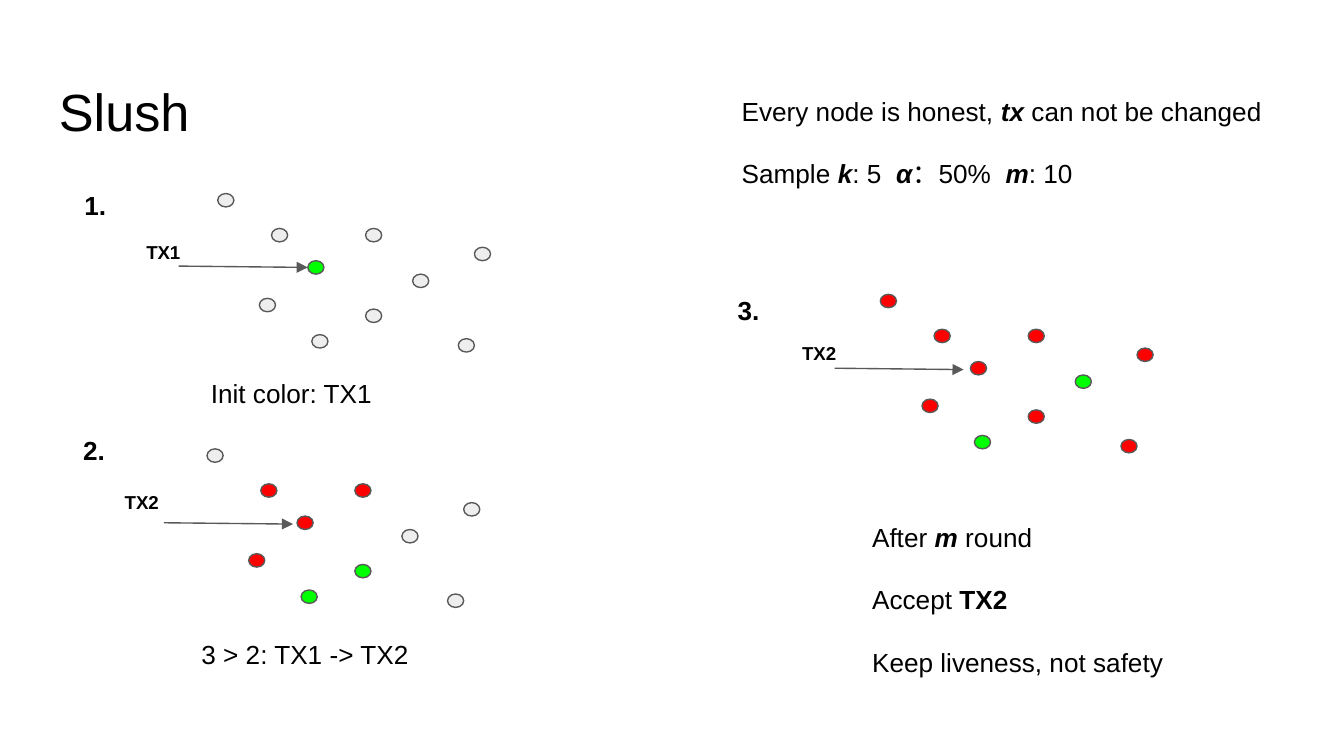
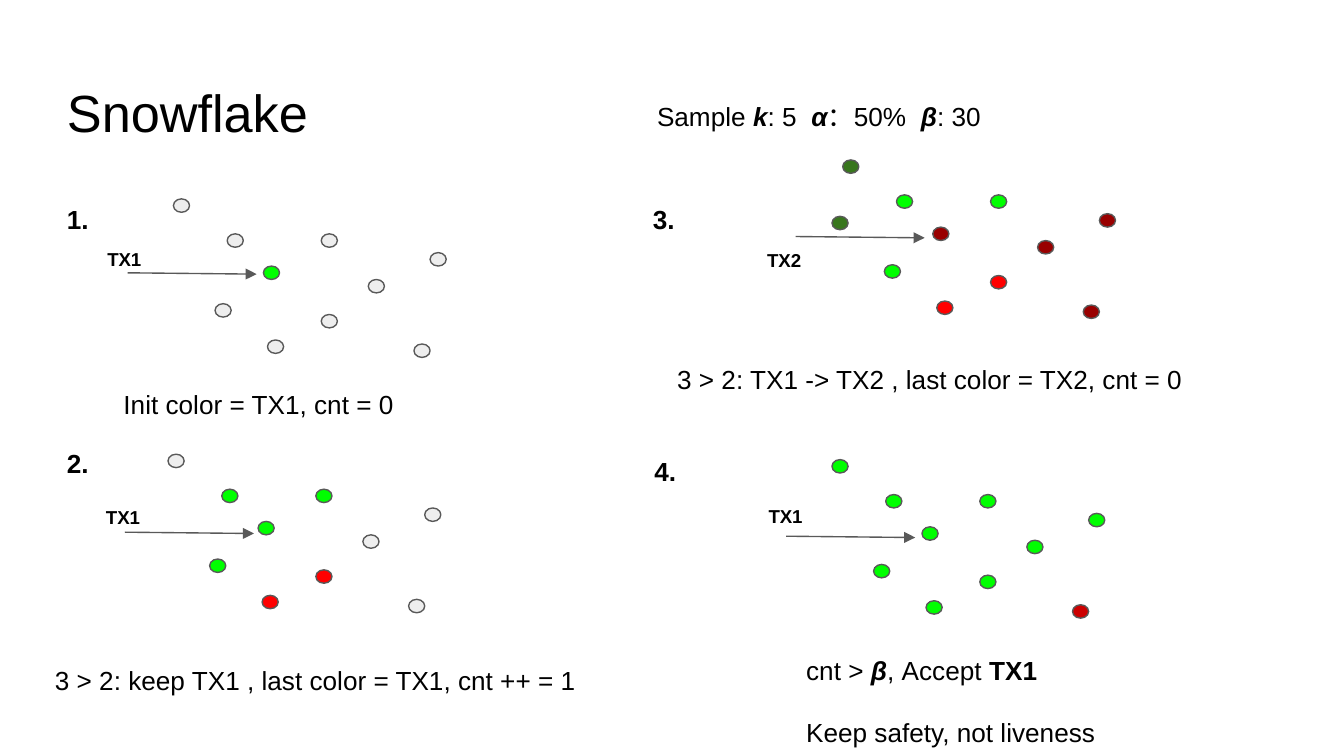
import pptx
import pptx.util
import pptx.dml.color
import pptx.enum.shapes
import pptx.oxml.ns
from dataclasses import dataclass, field
from lxml import etree

Inches = pptx.util.Inches
Pt = pptx.util.Pt


@dataclass(frozen=True)
class Theme:
    font: str = "Arial"
    ink: str = "000000"
    edge: str = "595959"
    title: int = 28
    body: int = 14
    tag: int = 10
    gap: float = 16.6
    wide: str = "390"
    line: float = 0.75
    fills: dict = field(default_factory=lambda: {
        "n": "EEEEEE", "g": "00FF00", "r": "FF0000",
        "d": "990000", "f": "38761D", "c": "CC0000"})


THEME = Theme()
NODE = (0.12, 0.1)
SPOTS = [(0.67, 0.5), (0.4, 0.26), (0.31, 0.78), (1.1, 0.26), (1.1, 0.86),
         (1.91, 0.4), (1.79, 1.08), (1.45, 0.6), (0.7, 1.05), (0, 0),
         (-0.08, 0.42)]
ARROW = (0.96, 0.01)


def color(code):
    return pptx.dml.color.RGBColor.from_string(code)


def shift(box, step):
    return box[0] + step[0], box[1] + step[1]


def write(slide, box, lines, size=THEME.body):
    frame = slide.shapes.add_textbox(*map(Inches, box)).text_frame
    frame.word_wrap = True
    frame.margin_left = frame.margin_right = Inches(0.1)
    frame.margin_top = frame.margin_bottom = Inches(0.1)
    for i, spans in enumerate(lines):
        para = frame.add_paragraph() if i else frame.paragraphs[0]
        if i:
            para.space_before = Pt(THEME.gap)
        for text, style in spans:
            run = para.add_run()
            run.text = text
            run.font.name = THEME.font
            run.font.size = Pt(size)
            run.font.color.rgb = color(THEME.ink)
            run.font.bold = "b" in style
            run.font.italic = "i" in style
            if "w" in style:
                run.font._element.set("spc", THEME.wide)


def head(slide, box, text):
    write(slide, (*box, 9.32, 0.63), [[(text, "")]], THEME.title)


def node(slide, spot, fill):
    oval = slide.shapes.add_shape(pptx.enum.shapes.MSO_SHAPE.OVAL,
                                  *map(Inches, (*spot, *NODE)))
    oval.shadow.inherit = False
    oval.fill.solid()
    oval.fill.fore_color.rgb = color(fill)
    oval.line.color.rgb = color(THEME.edge)
    oval.line.width = Pt(THEME.line)


def arrow(slide, start):
    link = slide.shapes.add_connector(
        pptx.enum.shapes.MSO_CONNECTOR.STRAIGHT,
        *map(Inches, (*start, *shift(start, ARROW))))
    link.line.color.rgb = color(THEME.edge)
    link.line.width = Pt(THEME.line)
    qn = pptx.oxml.ns.qn
    etree.SubElement(link.line._get_or_add_ln(), qn("a:tailEnd"), type="triangle")
    etree.SubElement(link._element.spPr, qn("a:effectLst"))


def stage(slide, box, fills, num, tag, start, note):
    for spot, key in zip(SPOTS, fills):
        node(slide, shift(box, spot), THEME.fills[key])
    arrow(slide, shift(box, start))
    text, step = num
    write(slide, (*shift(box, step), 0.47, 0.36), [[(text, "b")]])
    text, step = tag
    write(slide, (*shift(box, step), 0.67, 0.28), [[(text, "b")]], THEME.tag)
    lines, step, size = note
    write(slide, (*shift(box, step), *size), lines)


def sample(name, count):
    return [("Sample ", ""), ("k", "bi"), (": 5", ""), (" ", "w"),
            ("α", "bi"), ("：50%", ""), (" ", "w"), (name, "bi"),
            (": " + count, "")]


def slush(slide):
    head(slide, (0.34, 0.49), "Slush")
    write(slide, (5.42, 0.61, 4.23, 0.52), [
        [("Every node is honest, ", ""), ("tx", "bi"),
         (" can not be changed", "")],
        sample("m", "10")])
    stage(slide, (1.62, 1.44), "gnnnnnnnnn", ("1.", (-1.09, -0.13)),
          ("TX1", (-0.63, 0.27)), (-0.29, 0.54),
          ([[("Init color: TX1", "")]], (-0.15, 1.27), (1.88, 0.52)))
    stage(slide, (1.54, 3.34), "rrrrgnnngn", ("2.", (-1.02, -0.21)),
          ("TX2", (-0.71, 0.23)), (-0.32, 0.55),
          ([[("3 > 2: TX1 -> TX2", "")]], (-0.14, 1.31), (1.88, 0.52)))
    done = [[("After ", ""), ("m", "bi"), (" round", "")],
            [("Accept ", ""), ("TX2", "b")],
            [("Keep liveness, not safety", "")]]
    stage(slide, (6.55, 2.19), "rrrrrrrggr", ("3.", (-1.16, -0.1)),
          ("TX2", (-0.68, 0.27)), (-0.34, 0.55),
          (done, (-0.16, 1.59), (2.91, 1.37)))


def flake(slide):
    head(slide, (0.4, 0.5), "Snowflake")
    write(slide, (4.79, 0.65, 2.69, 0.28), [sample("β", "30")])
    stage(slide, (1.29, 1.48), "gnnnnnnnnn", ("1.", (-0.89, -0.07)),
          ("TX1", (-0.59, 0.28)), (-0.34, 0.55),
          ([[("Init color = TX1, cnt = 0", "")]], (-0.47, 1.31), (2.79, 0.5)))
    stage(slide, (1.25, 3.38), "ggggrnnnrn", ("2.", (-0.85, -0.15)),
          ("TX1", (-0.56, 0.3)), (-0.32, 0.58),
          ([[("3 > 2: keep TX1 , last color = TX1, cnt ++ = 1", "")]],
           (-0.94, 1.46), (4.82, 0.42)))
    stage(slide, (6.27, 1.19), "dgggrdddrff", ("3.", (-1.51, 0.22)),
          ("TX2", (-0.66, 0.58)), (-0.35, 0.57),
          ([[("3 > 2: TX1 -> TX2 , last color = TX2, cnt = 0", "")]],
           (-1.33, 1.41), (4.69, 0.42)))
    done = [[("cnt > ", ""), ("β", "bi"), (", Accept ", ""), ("TX1", "b")],
            [("Keep safety, not liveness", "")]]
    stage(slide, (6.19, 3.42), "ggggggcggg", ("4.", (-1.42, -0.13)),
          ("TX1", (-0.57, 0.25)), (-0.34, 0.57),
          (done, (-0.29, 1.35), (4, 0.67)))


def main():
    deck = pptx.Presentation()
    deck.slide_width = Inches(10)
    deck.slide_height = Inches(10) * 9 // 16
    for build in (slush, flake):
        build(deck.slides.add_slide(deck.slide_layouts[6]))
    deck.save("out.pptx")


if __name__ == "__main__":
    main()
